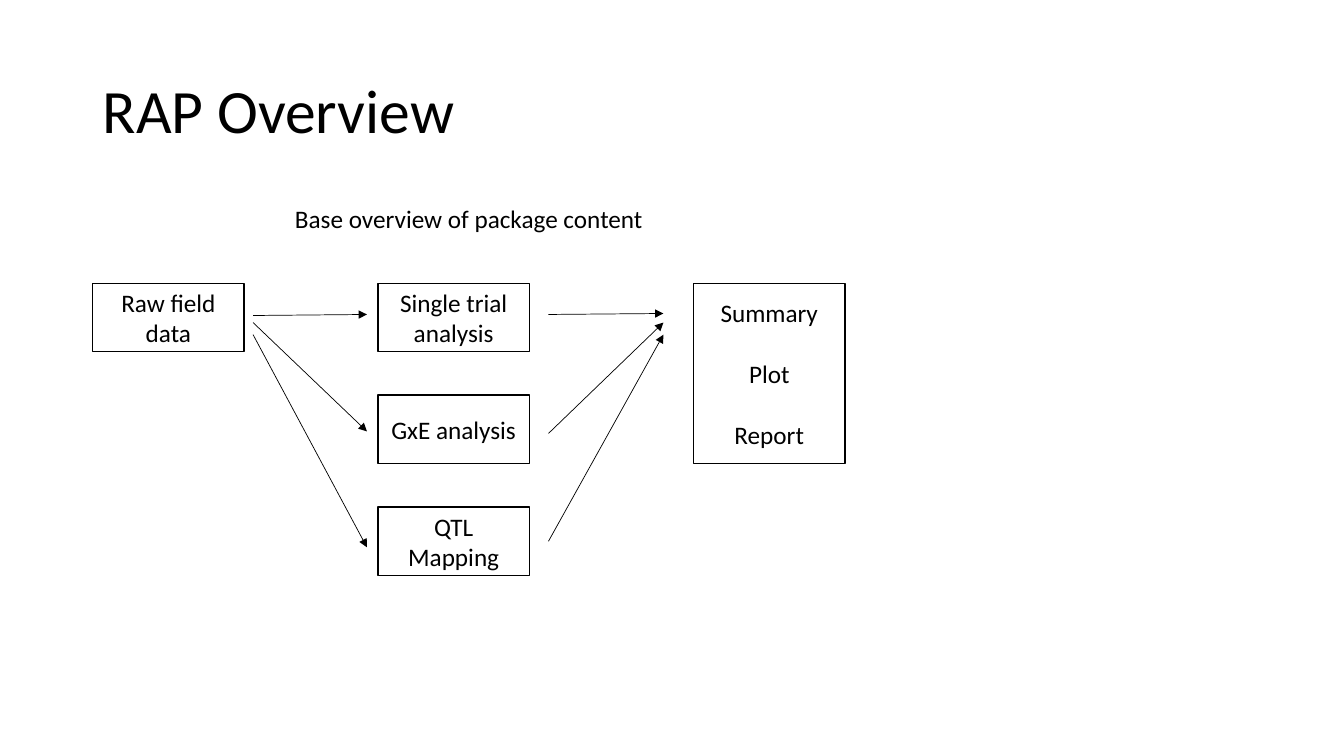
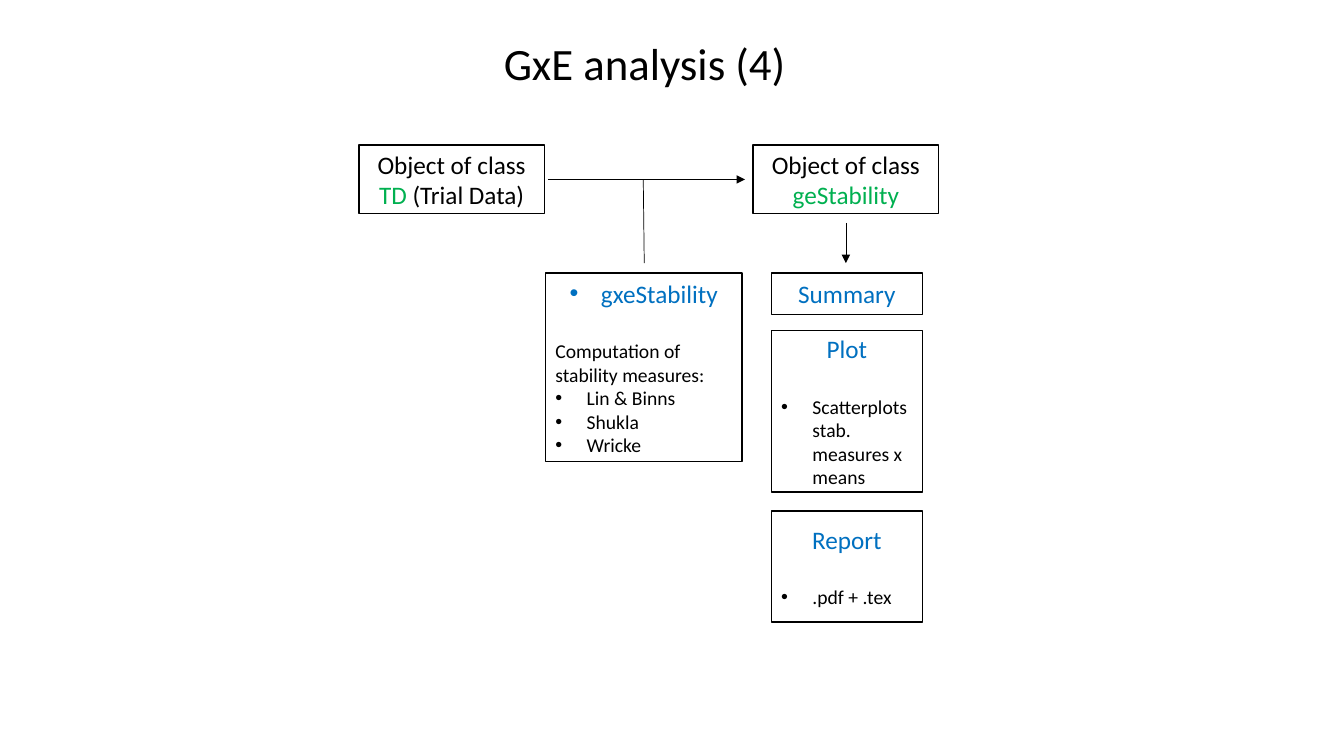
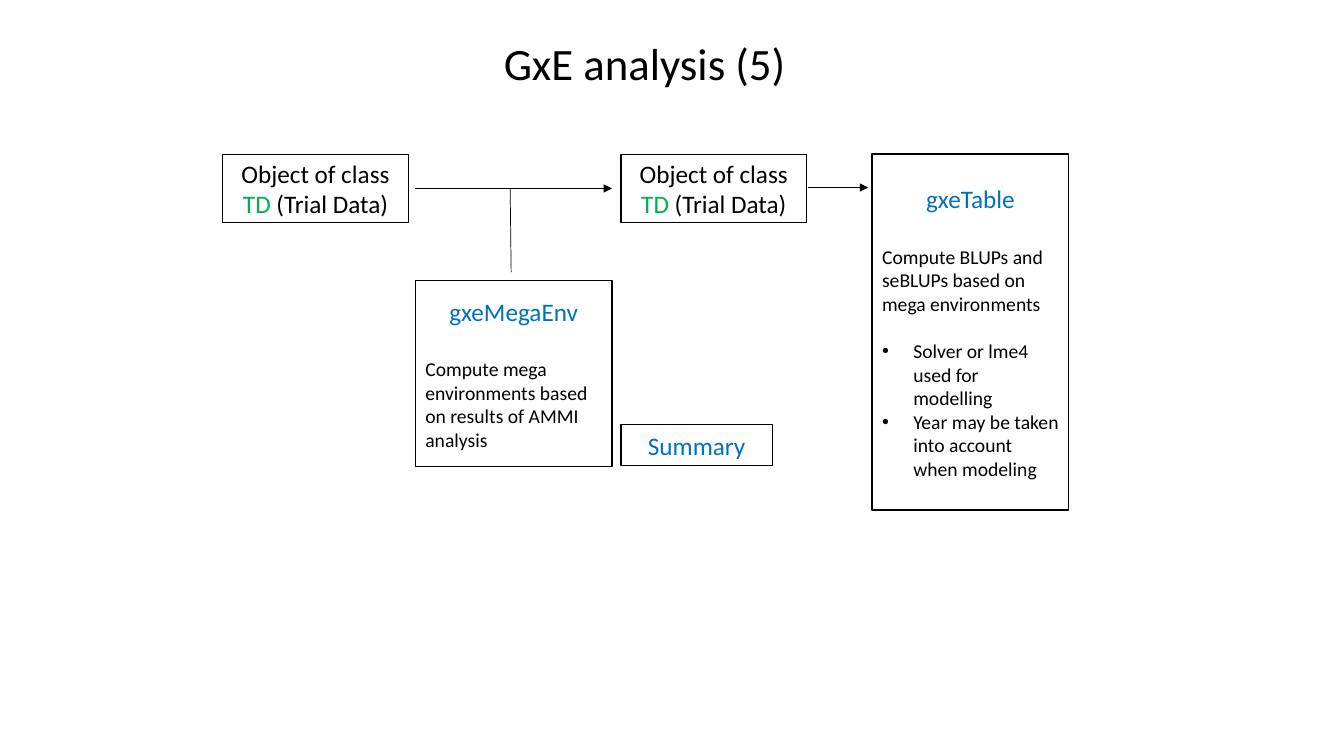
from lxml.etree import SubElement
from pptx import Presentation
from pptx.dml.color import RGBColor
from pptx.enum.shapes import MSO_CONNECTOR, MSO_SHAPE
from pptx.enum.text import MSO_ANCHOR, PP_ALIGN
from pptx.oxml.ns import qn
from pptx.util import Emu, Pt

PX = 9144  # 100 px to the inch
FONT = "Calibri"
INK = {"black": "000000", "white": "FFFFFF", "blue": "0070C0", "green": "00B050"}
MID, LEFT = PP_ALIGN.CENTER, PP_ALIGN.LEFT

# Text kinds: size, colour, alignment, bullet
KINDS = {
    "cover": (44, "black", LEFT, False),
    "title": (32, "black", MID, False),
    "base": (18, "black", MID, False),
    "name": (18, "blue", MID, False),
    "mark": (18, "blue", MID, True),
    "body": (14, "black", LEFT, False),
    "item": (14, "black", LEFT, True),
}
WIDE, SLIM = 22, 17  # points of one 18 pt and one 14 pt line


def box(slide, at, paras, edge=True):
    """Each paragraph is (kind, space before, texts...); every second text is green."""
    at = [Emu(n * PX) for n in at]
    if edge:
        shape = slide.shapes.add_shape(MSO_SHAPE.RECTANGLE, *at)
        shape.shadow.inherit = False
        shape.fill.solid()
        shape.fill.fore_color.rgb = RGBColor.from_string(INK["white"])
        shape.line.color.rgb = RGBColor.from_string(INK["black"])
        shape.line.width = Pt(1)
    else:
        shape = slide.shapes.add_textbox(*at)
    frame = shape.text_frame
    frame.word_wrap = True
    frame.vertical_anchor = MSO_ANCHOR.MIDDLE
    for i, (kind, gap, *texts) in enumerate(paras):
        size, ink, align, dot = KINDS[kind]
        para = frame.add_paragraph() if i else frame.paragraphs[0]
        para.alignment = align
        para.space_before = Pt(gap)
        if kind == "cover":
            para.line_spacing = 0.9
        if dot:
            props = para._p.get_or_add_pPr()
            props.set("marL", str(31 * PX))
            props.set("indent", str(-31 * PX))
            SubElement(props, qn("a:buFont"), typeface="Arial")
            SubElement(props, qn("a:buChar"), char="•")
        para.font.name = FONT
        para.font.size = Pt(size)
        para.font.color.rgb = RGBColor.from_string(INK[ink])
        for j, text in enumerate(texts):
            run = para.add_run()
            run.text = text
            if len(texts) > 1:
                run.font.color.rgb = RGBColor.from_string(INK["green" if j % 2 else ink])


def link(slide, ends, head=True):
    line = slide.shapes.add_connector(MSO_CONNECTOR.STRAIGHT, *[Emu(n * PX) for n in ends])
    line.line.color.rgb = RGBColor.from_string(INK["black"])
    line.line.width = Pt(0.5)
    if head:
        SubElement(line.line._get_or_add_ln(), qn("a:tailEnd"), type="triangle")
    SubElement(line._element.spPr, qn("a:effectLst"))


deck = Presentation()
deck.slide_width, deck.slide_height = Emu(1333 * PX), Emu(750 * PX)
first, fourth, fifth = [deck.slides.add_slide(deck.slide_layouts[6]) for _ in range(3)]

# Slide 1: overview
box(first, (92, 40, 1150, 145), [("cover", 0, "RAP Overview")], edge=False)
box(first, (92, 197, 746, 40), [("base", 0, "Base overview of package content")], edge=False)
box(first, (92, 281, 150, 68), [("base", 0, "Raw field data")])
for row, step in enumerate(("Single trial analysis", "GxE analysis", "QTL Mapping")):
    box(first, (375, 281 + 111 * row, 150, 68), [("base", 0, step)])
box(first, (688, 281, 150, 179),
    [("base", 0, "Summary"), ("base", WIDE, "Plot"), ("base", WIDE, "Report")])
for near, far in ((313, 312), (320, 428), (332, 543)):
    link(first, (251, near, 364, far))
for near, far in ((312, 311), (430, 320), (537, 332)):
    link(first, (544, near, 658, far))

# Slides 2 and 3: title, trial data and the arrow with its stem
trial = [("base", 0, "Object of class ", "TD", " (Trial Data)")]
for slide, num, left, top, start in ((fourth, 4, 356, 144, 544), (fifth, 5, 221, 153, 412)):
    box(slide, (147, 30, 985, 64), [("title", 0, f"GxE analysis ({num})")], edge=False)
    box(slide, (left, top, 184, 68), trial)
    mid = top + 34
    link(slide, (start, mid, start + 195, mid))
    link(slide, (start + 94, mid, start + 95, mid + 83), head=False)

# Slide 2: stability
box(fourth, (747, 144, 184, 68), [("base", 0, "Object of class ", "geStability")])
box(fourth, (541, 271, 195, 187), [
    ("mark", 0, "gxeStability"),
    ("body", WIDE, "Computation of stability measures:"),
    ("item", 0, "Lin & Binns"),
    ("item", 0, "Shukla"),
    ("item", 0, "Wricke"),
])
for top, high, name, *notes in (
    (271, 41, "Summary"),
    (328, 160, "Plot", "Scatterplots stab. measures x means"),
    (507, 110, "Report", ".pdf + .tex"),
):
    box(fourth, (765, top, 150, high),
        [("name", 0, name)] + [("item", WIDE, note) for note in notes])
link(fourth, (839, 221, 839, 261))

# Slide 3: mega environments
box(fifth, (616, 153, 184, 68), trial)
box(fifth, (412, 278, 195, 185), [
    ("name", 0, "gxeMegaEnv"),
    ("body", WIDE, "Compute mega environments based on results of AMMI analysis"),
])
box(fifth, (616, 421, 150, 41), [("name", 0, "Summary")])
box(fifth, (865, 153, 195, 353), [
    ("name", 0, "gxeTable"),
    ("body", WIDE, "Compute BLUPs and seBLUPs based on mega environments"),
    ("item", SLIM, "Solver or lme4 used for modelling"),
    ("item", 0, "Year may be taken into account when modeling"),
])
link(fifth, (801, 186, 861, 186))

deck.save("out.pptx")
